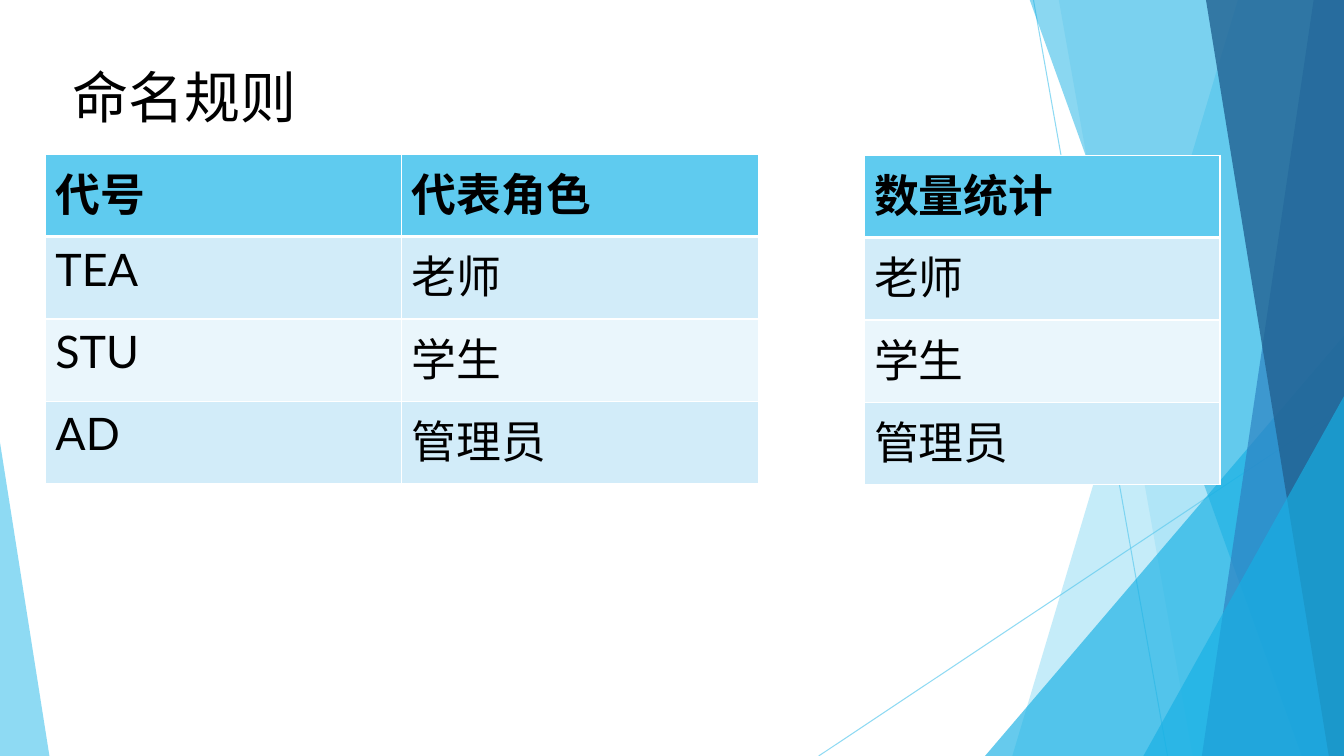
from pptx import Presentation
from pptx.dml.color import RGBColor
from pptx.enum.shapes import MSO_CONNECTOR, MSO_SHAPE
from pptx.enum.text import MSO_AUTO_SIZE
from pptx.oxml.ns import qn
from pptx.util import Inches, Pt
from lxml import etree

STRAIGHT = MSO_CONNECTOR.STRAIGHT
TRIANGLE = MSO_SHAPE.ISOSCELES_TRIANGLE
GROW = MSO_AUTO_SIZE.SHAPE_TO_FIT_TEXT

W, H = 13.33, 7.5
FONT = "Lato"
SKY, CYAN, BLUE, NAVY = "5FCBEF", "17B0E4", "2E83C3", "226292"
BANDS = ["D2ECF9", "EAF6FC"]
BLACK, WHITE = "000000", "FFFFFF"


def rgb(color):
    return RGBColor.from_string(color)


def paint(fmt, color, opacity):
    fmt.solid()
    fmt.fore_color.rgb = rgb(color)
    clr = fmt._xPr.find(".//" + qn("a:srgbClr"))
    etree.SubElement(clr, qn("a:alpha"), val=str(opacity * 1000))


def finish(sp, color, opacity):
    sp.shadow.inherit = False
    paint(sp.fill, color, opacity)
    sp.line.fill.background()


def add_ray(s, x1, y1, x2, y2):
    line = s.shapes.add_connector(STRAIGHT, Inches(x1), Inches(y1), Inches(x2), Inches(y2))
    line.line.width = Pt(0.75)
    paint(line.line.fill, SKY, 70)
    etree.SubElement(line._element.spPr, qn("a:effectLst"))


def add_shard(s, top_x, bottom_x, right, top, bottom, color, opacity):
    corners = [(right, top), (right, bottom), (bottom_x, bottom)]
    fb = s.shapes.build_freeform(Inches(top_x), Inches(top))
    fb.add_line_segments([(Inches(x), Inches(y)) for x, y in corners], close=True)
    finish(fb.convert_to_shape(), color, opacity)


def add_triangle(s, x, y, w, h, apex, color, opacity):
    sp = s.shapes.add_shape(TRIANGLE, Inches(x), Inches(y), Inches(w), Inches(h))
    sp.adjustments[0] = apex
    finish(sp, color, opacity)


def add_backdrop(s, w, h):
    add_ray(s, 10.25, 0, 11.58, h)
    add_ray(s, w, 4.03, 8.12, h)

    def shards(rows):
        for top_x, bottom_x, color, opacity in rows:
            add_shard(s, top_x, bottom_x, w, -0.01, h, color, opacity)

    def corner(x, y):
        add_triangle(s, x, y, w - x, h - y, 1, CYAN, 66)

    shards([(12.28, 10.04, SKY, 36), (10.5, 11.83, SKY, 20)])
    corner(9.77, 3.33)
    shards([(10.21, 12.91, CYAN, 50), (13.03, 11.92, BLUE, 70), (11.96, 13.18, NAVY, 80)])
    corner(11.34, 3.93)
    add_triangle(s, 0, 4.39, 0.49, h - 4.39, 0, SKY, 70)


def add_run(p, text, size, bold=False):
    r = p.add_run()
    r.text = text
    r.font.name = FONT
    r.font.size = Pt(size)
    r.font.bold = bold
    r.font.color.rgb = rgb(BLACK)


def add_borders(cell, row):
    tc_pr = cell._tc.get_or_add_tcPr()
    top = 3 if row == 1 else 1
    bottom = 3 if row == 0 else 1
    for side, width in (("L", 1), ("R", 1), ("T", top), ("B", bottom)):
        ln = etree.SubElement(tc_pr, qn("a:ln" + side), w=str(Pt(width)))
        fill = etree.SubElement(ln, qn("a:solidFill"))
        etree.SubElement(fill, qn("a:srgbClr"), val=WHITE)


def add_grid(s, x, y, w, h, rows):
    frame = s.shapes.add_table(len(rows), len(rows[0]), Inches(x), Inches(y), Inches(w), Inches(h))
    for i, row in enumerate(rows):
        for j, text in enumerate(row):
            cell = frame.table.cell(i, j)
            add_borders(cell, i)
            cell.fill.solid()
            cell.fill.fore_color.rgb = rgb(BANDS[(i - 1) % 2] if i else SKY)
            add_run(cell.text_frame.paragraphs[0], text, 32, i == 0)


def add_title(s, x, y, w, h, text):
    tf = s.shapes.add_textbox(Inches(x), Inches(y), Inches(w), Inches(h)).text_frame
    tf.word_wrap = True
    tf.auto_size = GROW
    add_run(tf.paragraphs[0], text, 40)


def main():
    prs = Presentation()
    prs.slide_width, prs.slide_height = Inches(W), Inches(H)
    s = prs.slides.add_slide(prs.slide_layouts[6])
    add_backdrop(s, W, H)
    add_grid(s, 0.45, 1.53, 7.07, 3.27, [
        ("代号", "代表角色"), ("TEA", "老师"), ("STU", "学生"), ("AD", "管理员")])
    add_grid(s, 8.57, 1.54, 3.53, 3.27, [
        ("数量统计",), ("老师",), ("学生",), ("管理员",)])
    add_title(s, 0.62, 0.57, 5, 0.77, "命名规则")
    prs.save("out.pptx")


if __name__ == "__main__":
    main()
